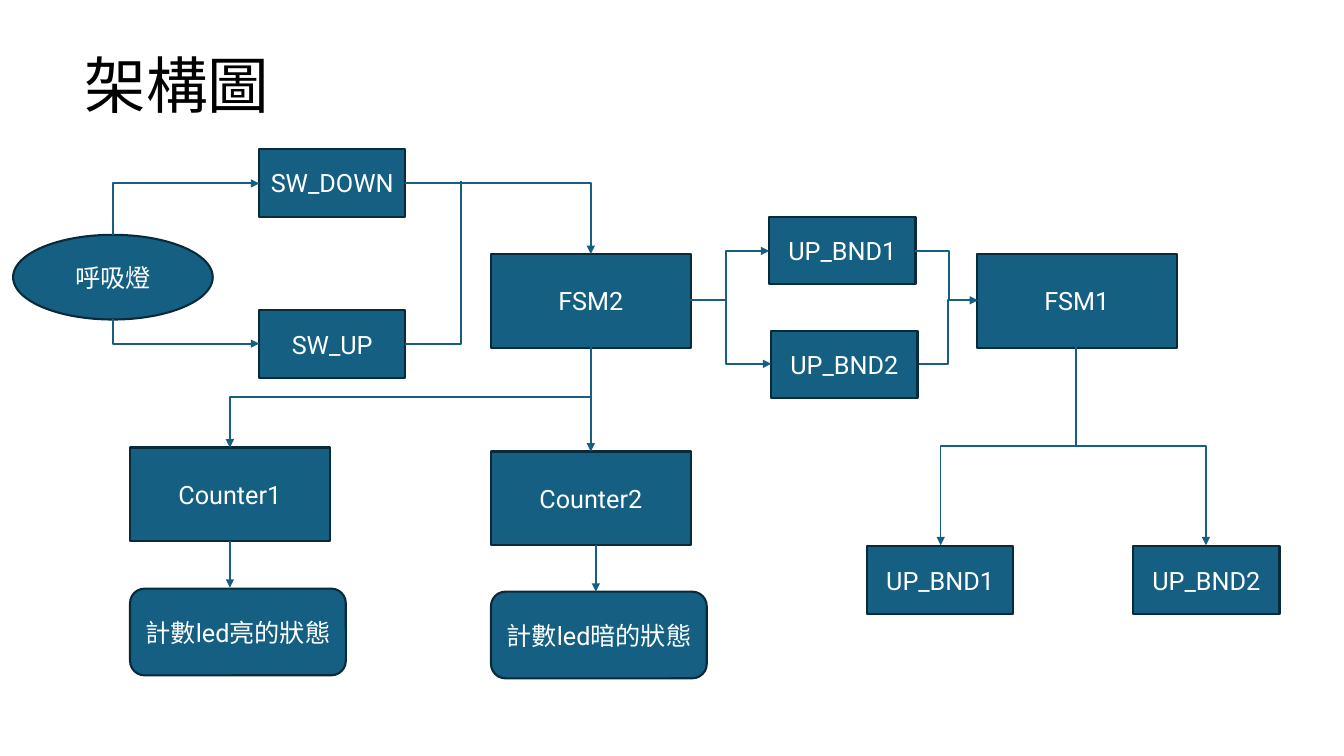
from lxml import etree
from pptx import Presentation
from pptx import util as u
from pptx.dml.color import RGBColor
from pptx.enum import shapes, text
from pptx.oxml.ns import qn

TITLE = "架構圖"
FONT = "Roboto"
COLORS = {"fill": "156082", "edge": "092A39", "light": "FFFFFF", "dark": "000000"}
KINDS = {
    "start": ("OVAL", 1.98, 0.84),
    "state": ("RECTANGLE", 1.98, 0.93),
    "signal": ("RECTANGLE", 1.45, 0.67),
    "note": ("ROUNDED_RECTANGLE", 2.14, 0.86),
}
NODES = [
    ("呼吸燈", "start", 0.13, 2.33),
    ("FSM2", "state", 4.87, 2.52),
    ("FSM1", "state", 9.69, 2.52),
    ("Counter1", "state", 1.29, 4.44),
    ("Counter2", "state", 4.87, 4.48),
    ("計數led亮的狀態", "note", 1.29, 5.84),
    ("計數led暗的狀態", "note", 4.87, 5.87),
    ("SW_DOWN", "signal", 2.57, 1.48),
    ("SW_UP", "signal", 2.57, 3.08),
    ("UP_BND1", "signal", 7.63, 2.15),
    ("UP_BND2", "signal", 7.65, 3.28),
    ("UP_BND1", "signal", 8.6, 5.42),
    ("UP_BND2", "signal", 11.24, 5.42),
]
# start, end, bends, leaves vertically, width, arrow
LINKS = [
    ((5.86, 3.44), (2.28, 4.44), 2, True, 1, True),
    ((5.86, 3.44), (5.86, 4.48), 0, False, 1, True),
    ((10.67, 3.44), (9.33, 5.41), 2, True, 1, True),
    ((10.67, 3.44), (11.96, 5.41), 2, True, 1, True),
    ((2.28, 5.37), (2.28, 5.83), 0, False, 1, True),
    ((5.91, 5.41), (5.91, 5.87), 0, False, 1, True),
    ((1.12, 2.33), (2.57, 1.82), 1, True, 1.5, True),
    ((1.12, 3.17), (2.57, 3.41), 1, True, 1.5, True),
    ((4.02, 1.82), (5.86, 2.52), 1, False, 1.5, True),
    ((4.02, 3.41), (4.57, 1.8), 1, False, 1.5, False),
    ((6.78, 2.98), (7.63, 2.49), 2, False, 1.5, True),
    ((7.2, 2.98), (7.65, 3.61), 1, True, 1.5, True),
    ((9.11, 3.61), (9.7, 2.98), 2, False, 1.5, True),
    ((9.08, 2.49), (9.41, 2.99), 1, False, 1.5, False),
]


def rgb(name):
    return RGBColor.from_string(COLORS[name])


def write(shape, words, size, color, align):
    frame = shape.text_frame
    frame.word_wrap = True
    frame.vertical_anchor = text.MSO_ANCHOR.MIDDLE
    par = frame.paragraphs[0]
    par.text = words
    par.alignment = align
    par.font.name = FONT
    par.font.size = u.Pt(size)
    par.font.color.rgb = rgb(color)
    return par


def node(slide, words, kind, x, y):
    form, w, h = KINDS[kind]
    box = slide.shapes.add_shape(
        getattr(shapes.MSO_SHAPE, form), *map(u.Inches, (x, y, w, h)))
    box.shadow.inherit = False
    box.fill.solid()
    box.fill.fore_color.rgb = rgb("fill")
    box.line.color.rgb = rgb("edge")
    box.line.width = u.Pt(1.5)
    write(box, words, 18, "light", text.PP_ALIGN.CENTER)


def link(slide, start, end, bends, upright, width, arrow):
    (x1, y1), (x2, y2) = start, end
    if upright:
        cx, cy = (x1 + x2) / 2, (y1 + y2) / 2
        dx, dy = (x2 - x1) / 2, (y2 - y1) / 2
        x1, y1, x2, y2 = cx - dy, cy + dx, cx + dy, cy - dx
    kind = shapes.MSO_CONNECTOR.ELBOW if bends else shapes.MSO_CONNECTOR.STRAIGHT
    wire = slide.shapes.add_connector(kind, *map(u.Inches, (x1, y1, x2, y2)))
    wire.line.color.rgb = rgb("fill")
    wire.line.width = u.Pt(width)
    props = wire._element.spPr
    if upright:
        props.find(qn("a:xfrm")).set("rot", str(90 * 60000))
    if bends == 1:
        props.find(qn("a:prstGeom")).set("prst", "bentConnector2")
    if arrow:
        etree.SubElement(props.find(qn("a:ln")), qn("a:tailEnd"), type="triangle")
    etree.SubElement(props, qn("a:effectLst"))


def main():
    """Build the architecture diagram slide."""
    deck = Presentation()
    deck.slide_width, deck.slide_height = u.Inches(13.33), u.Inches(7.5)
    slide = deck.slides.add_slide(deck.slide_layouts[6])
    head = slide.shapes.add_textbox(*map(u.Inches, (0.74, 0.15, 11.5, 1.45)))
    write(head, TITLE, 44, "dark", text.PP_ALIGN.LEFT).line_spacing = 0.9
    for item in NODES:
        node(slide, *item)
    for item in LINKS:
        link(slide, *item)
    deck.save("out.pptx")


if __name__ == "__main__":
    main()
